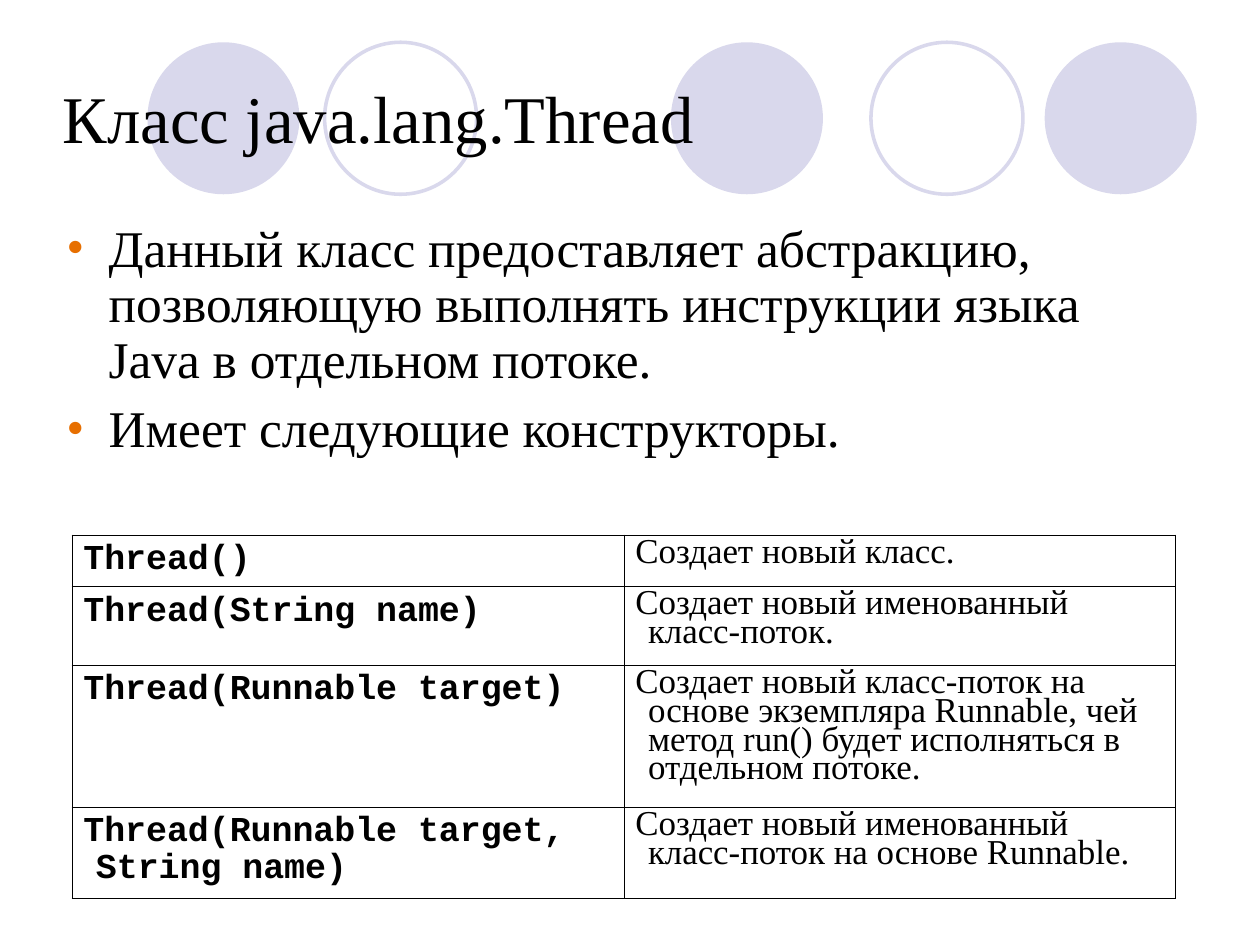
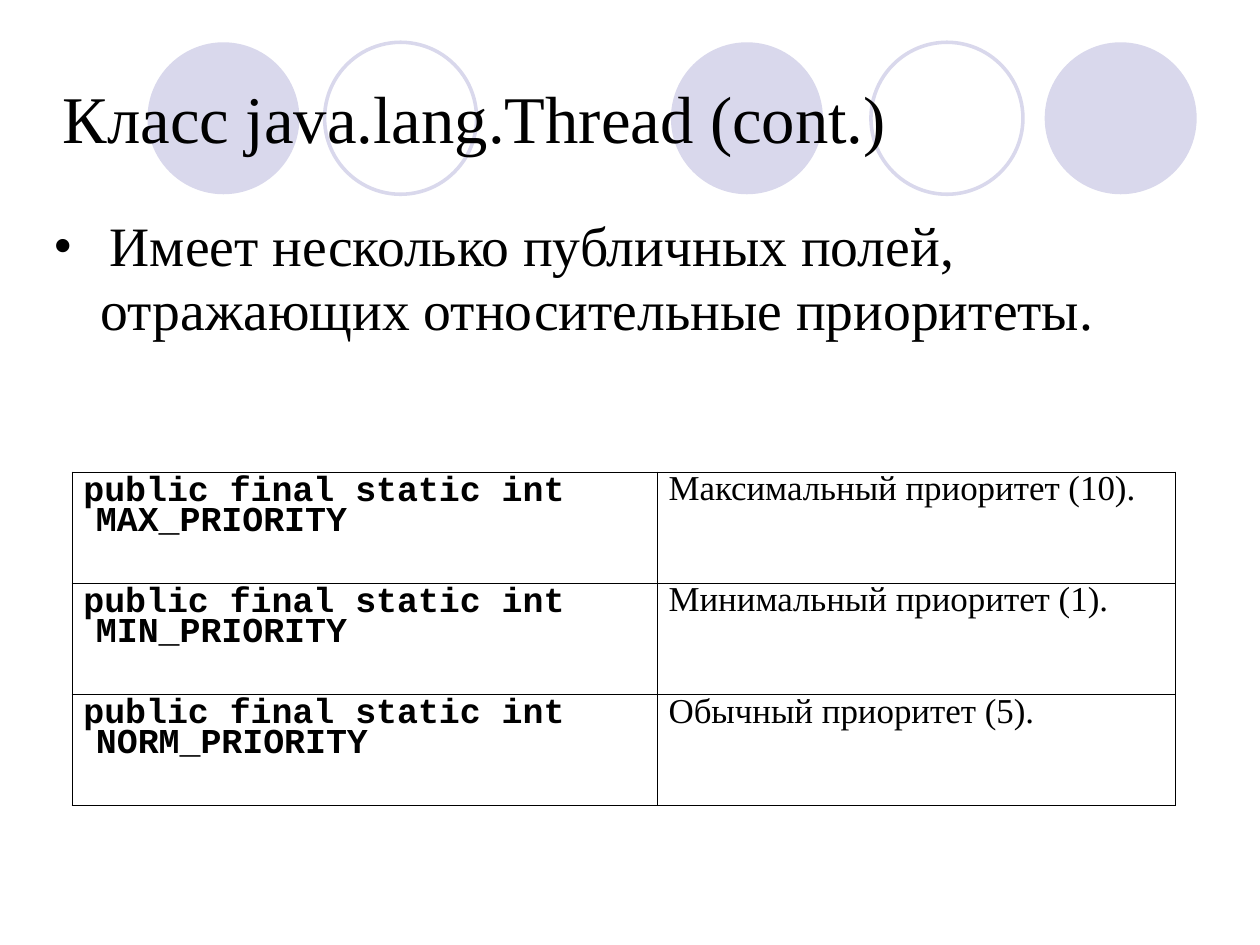
from dataclasses import dataclass
from typing import Any

from lxml import etree
from pptx import Presentation
from pptx import util as u
from pptx.dml.color import RGBColor
from pptx.enum import shapes, text
from pptx.oxml.ns import qn

BLACK = RGBColor(0x00, 0x00, 0x00)
LILAC = RGBColor(0xD9, 0xD8, 0xEC)
ORANGE = RGBColor(0xE7, 0x6F, 0x00)

SERIF = "Times New Roman"
MONO = "Courier New"
TITLE_FONT = {"name": SERIF, "size": u.Pt(42), "bold": False}
CODE_FONT = {"name": MONO, "size": u.Pt(22), "bold": True}
NOTE_FONT = {"name": SERIF, "size": u.Pt(22), "bold": False}
NOTE_PARAGRAPH = {"line_spacing": 0.74, "space_before": u.Pt(5)}

SLIDE_WIDTH = u.Inches(28 / 2.54)
SLIDE_HEIGHT = u.Inches(21 / 2.54)
CIRCLE_TOP, CIRCLE_SIZE = 0.37, 1.33
OUTER, INNER = 0.5, 0.23


@dataclass(frozen=True)
class Circle:
    left: float
    filled: bool


@dataclass(frozen=True)
class Bullets:
    items: tuple[str, ...]
    size: float
    height: float
    indent: float
    color: RGBColor
    spacing: float
    before: float = 0
    inset: tuple[float, float] = (0, 0)
    tabs: tuple[float, ...] = ()


@dataclass(frozen=True)
class Grid:
    top: float
    widths: tuple[float, float]
    heights: tuple[float, ...]
    code_spacing: float
    rows: tuple[tuple[str, str], ...]


@dataclass(frozen=True)
class Page:
    title: str
    bullets: Bullets
    grid: Grid


CIRCLES = (
    Circle(5.87, True),
    Circle(9.14, True),
    Circle(1.29, True),
    Circle(7.62, False),
    Circle(2.84, False),
)

PAGES = (
    Page(
        "Класс java.lang.Thread",
        Bullets(
            (
                "Данный класс предоставляет абстракцию, позволяющую выполнять "
                "инструкции языка Java в отдельном потоке.",
                "Имеет следующие конструкторы.",
            ),
            size=32.4, height=2.43, indent=0.37, color=ORANGE,
            spacing=0.9, before=8.8, inset=(0.11, 0.06),
        ),
        Grid(
            4.68, (4.83, 4.82), (0.45, 0.69, 1.24, 0.8), 0.94,
            (
                ("Thread()", "Создает новый класс."),
                ("Thread(String name)", "Создает новый именованный класс-поток."),
                (
                    "Thread(Runnable target)",
                    "Создает новый класс-поток на основе экземпляра Runnable, "
                    "чей метод run() будет исполняться в отдельном потоке.",
                ),
                (
                    "Thread(Runnable target, String name)",
                    "Создает новый именованный класс-поток на основе Runnable.",
                ),
            ),
        ),
    ),
    Page(
        "Класс java.lang.Thread (cont.)",
        Bullets(
            ("\tИмеет несколько публичных полей, отражающих относительные приоритеты.",),
            size=35, height=2.16, indent=0.41, color=BLACK,
            spacing=0.95, tabs=(0.38, 0.49),
        ),
        Grid(
            4.13, (5.12, 4.53), (2.92 / 3,) * 3, 0.75,
            (
                ("public final static int MAX_PRIORITY", "Максимальный приоритет (10)."),
                ("public final static int MIN_PRIORITY", "Минимальный приоритет (1)."),
                ("public final static int NORM_PRIORITY", "Обычный приоритет (5)."),
            ),
        ),
    ),
)


def assign(obj: Any, values: dict[str, Any]) -> None:
    for name, value in values.items():
        setattr(obj, name, value)


def write(p: Any, words: str, font: dict[str, Any]) -> None:
    r = p.add_run()
    r.text = words
    assign(r.font, font)
    r.font.color.rgb = BLACK


def hang(p: Any, indent: float) -> Any:
    pPr = p._p.get_or_add_pPr()
    pPr.set("marL", str(u.Inches(indent)))
    pPr.set("indent", str(u.Inches(-indent)))
    return pPr


def frame(tf: Any, side: float, edge: float, anchor: Any) -> None:
    assign(tf, {
        "word_wrap": True,
        "auto_size": text.MSO_AUTO_SIZE.NONE,
        "vertical_anchor": anchor,
        "margin_left": u.Inches(side),
        "margin_right": u.Inches(side),
        "margin_top": u.Inches(edge),
        "margin_bottom": u.Inches(edge),
    })


def add_circle(s: Any, circle: Circle) -> None:
    size = u.Inches(CIRCLE_SIZE)
    sp = s.shapes.add_shape(
        shapes.MSO_SHAPE.OVAL, u.Inches(circle.left), u.Inches(CIRCLE_TOP), size, size
    )
    sp.shadow.inherit = False
    if circle.filled:
        sp.fill.solid()
        sp.fill.fore_color.rgb = LILAC
        sp.line.fill.background()
    else:
        sp.fill.background()
        sp.line.color.rgb = LILAC
        sp.line.width = u.Pt(2.25)


def set_title(s: Any, words: str) -> None:
    sp = s.shapes.title
    assign(sp, {
        "left": u.Inches(0.55),
        "top": u.Inches(0.43),
        "width": u.Inches(9.92),
        "height": u.Inches(1.18),
    })
    frame(sp.text_frame, 0, 0, text.MSO_ANCHOR.MIDDLE)
    p = sp.text_frame.paragraphs[0]
    p.alignment = text.PP_ALIGN.LEFT
    write(p, words, TITLE_FONT)
    sp.element.getparent().append(sp.element)


def add_bullets(s: Any, bullets: Bullets) -> None:
    sp = s.shapes.add_textbox(
        u.Inches(0.47), u.Inches(1.89), u.Inches(9.92), u.Inches(bullets.height)
    )
    tf = sp.text_frame
    frame(tf, *bullets.inset, text.MSO_ANCHOR.TOP)
    for i, item in enumerate(bullets.items):
        p = tf.add_paragraph() if i else tf.paragraphs[0]
        assign(p, {"line_spacing": bullets.spacing, "space_before": u.Pt(bullets.before)})
        pPr = hang(p, bullets.indent)
        color = etree.SubElement(pPr, qn("a:buClr"))
        etree.SubElement(color, qn("a:srgbClr"), val=str(bullets.color))
        etree.SubElement(pPr, qn("a:buFont"), typeface=SERIF)
        etree.SubElement(pPr, qn("a:buChar"), char="•")
        if bullets.tabs:
            stops = etree.SubElement(pPr, qn("a:tabLst"))
            for tab in bullets.tabs:
                etree.SubElement(stops, qn("a:tab"), pos=str(u.Inches(tab)), algn="l")
        write(p, item, {"name": SERIF, "size": u.Pt(bullets.size)})


def add_borders(cell: Any, outer: dict[str, bool]) -> None:
    tcPr = cell._tc.get_or_add_tcPr()
    for side, is_outer in outer.items():
        width = u.Pt(OUTER if is_outer else INNER)
        ln = etree.SubElement(tcPr, qn(f"a:ln{side}"), w=str(width))
        fill = etree.SubElement(ln, qn("a:solidFill"))
        etree.SubElement(fill, qn("a:srgbClr"), val=str(BLACK))


def add_grid(s: Any, grid: Grid) -> None:
    table = s.shapes.add_table(
        len(grid.rows), len(grid.widths), u.Inches(0.63), u.Inches(grid.top),
        u.Inches(sum(grid.widths)), u.Inches(sum(grid.heights)),
    ).table
    assign(table, {"first_row": False, "horz_banding": False})
    for column, width in zip(table.columns, grid.widths):
        column.width = u.Inches(width)
    for row, height in zip(table.rows, grid.heights):
        row.height = u.Inches(height)
    styles = (
        (CODE_FONT, {"line_spacing": grid.code_spacing}),
        (NOTE_FONT, NOTE_PARAGRAPH),
    )
    last_row, last_col = len(grid.rows) - 1, len(grid.widths) - 1
    for i, row in enumerate(grid.rows):
        for j, (words, (font, spacing)) in enumerate(zip(row, styles)):
            cell = table.cell(i, j)
            add_borders(cell, {
                "L": j == 0, "R": j == last_col, "T": i == 0, "B": i == last_row,
            })
            cell.fill.background()
            p = cell.text_frame.paragraphs[0]
            assign(p, spacing)
            hang(p, 0.11)
            write(p, words, font)


def add_page(prs: Any, page: Page) -> None:
    s = prs.slides.add_slide(prs.slide_layouts[5])
    for circle in CIRCLES:
        add_circle(s, circle)
    set_title(s, page.title)
    add_bullets(s, page.bullets)
    add_grid(s, page.grid)


def main() -> None:
    prs = Presentation()
    prs.slide_width = SLIDE_WIDTH
    prs.slide_height = SLIDE_HEIGHT
    prs.element.sldSz.attrib.pop("type", None)
    for page in PAGES:
        add_page(prs, page)
    prs.save("out.pptx")


if __name__ == "__main__":
    main()
